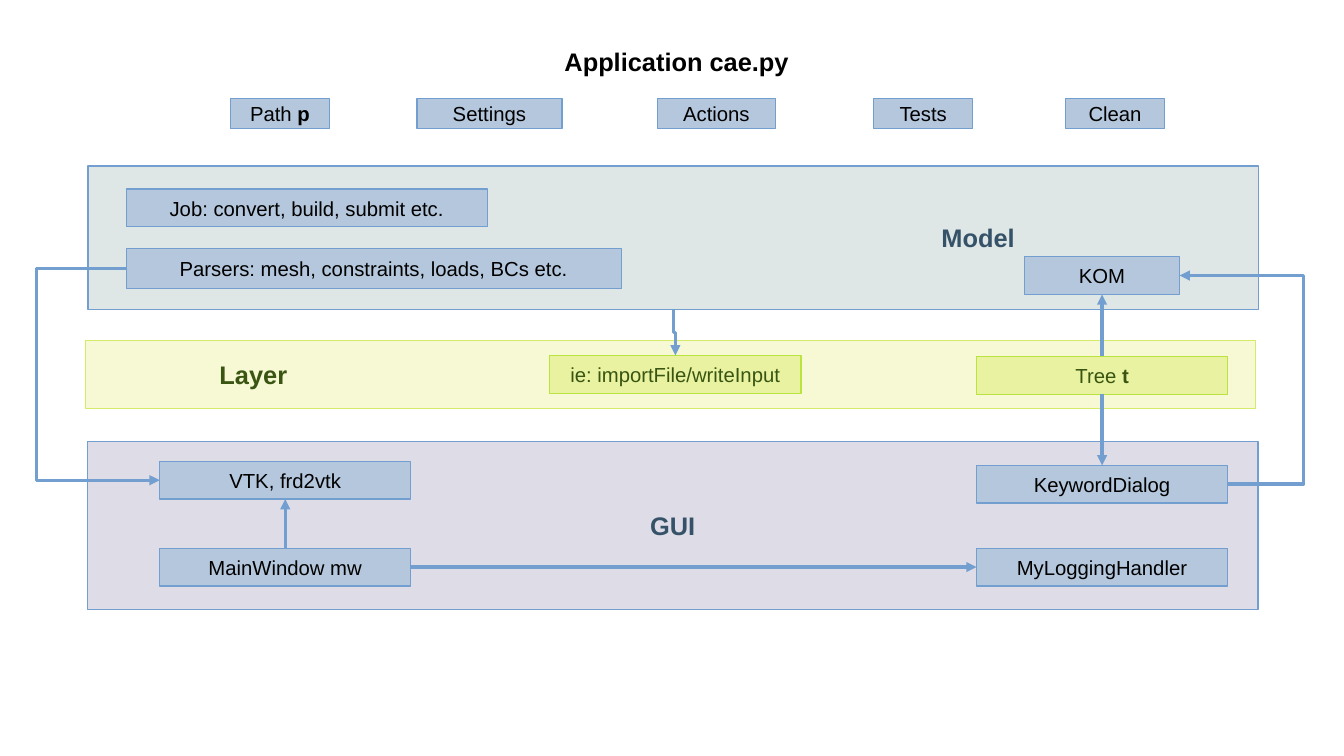
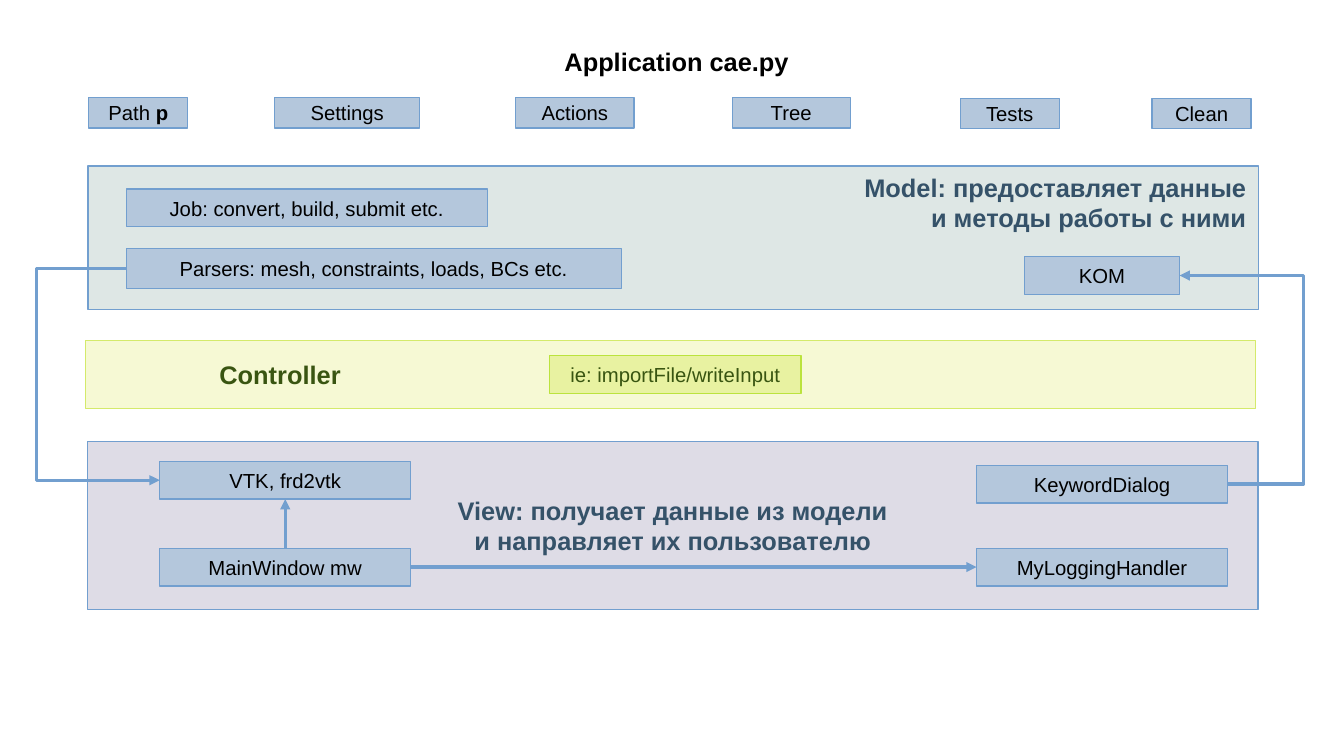
"""Build two architecture slides of the cae.py application."""
from lxml import etree
from pptx import Presentation
from pptx.dml.color import RGBColor
from pptx.enum.shapes import MSO_CONNECTOR, MSO_SHAPE
from pptx.enum.text import MSO_ANCHOR, PP_ALIGN
from pptx.oxml.ns import qn
from pptx.util import Pt

RECT = MSO_SHAPE.RECTANGLE
STRAIGHT, ELBOW = MSO_CONNECTOR.STRAIGHT, MSO_CONNECTOR.ELBOW
TOP, MIDDLE = MSO_ANCHOR.TOP, MSO_ANCHOR.MIDDLE
LEFT, CENTER, RIGHT = PP_ALIGN.LEFT, PP_ALIGN.CENTER, PP_ALIGN.RIGHT
SITE_TOP, SITE_LEFT, SITE_BOTTOM, SITE_RIGHT = range(4)

BLACK = RGBColor(0x00, 0x00, 0x00)
BLUE = RGBColor(0xB4, 0xC7, 0xDC)
BLUE_LINE = RGBColor(0x72, 0x9F, 0xCF)
NAVY = RGBColor(0x35, 0x52, 0x69)
MODEL_FILL = RGBColor(0xDE, 0xE7, 0xE5)
GUI_FILL = RGBColor(0xDE, 0xDC, 0xE6)
LAYER_FILL = RGBColor(0xF6, 0xF9, 0xD4)
LAYER_LINE = RGBColor(0xD4, 0xEA, 0x6B)
LIME = RGBColor(0xE8, 0xF2, 0xA1)
LIME_LINE = RGBColor(0xBB, 0xE3, 0x3D)
GREEN = RGBColor(0x39, 0x55, 0x11)

BLUE_STYLE = (BLUE, BLUE_LINE, BLACK)
LIME_STYLE = (LIME, LIME_LINE, GREEN)
FONT = "Arial"
BOX_W, BOX_H = 148.3, 22.3
LEFT_X, MID_X, RIGHT_X = 94.3, 324.7, 576.7


def add_box(s, x, y, w, h, text, style=BLUE_STYLE, size=12, bold=False,
            tail="", align=CENTER, anchor=MIDDLE, indent=0.0):
    fill, line, color = style
    if fill is None:
        sp = s.shapes.add_textbox(Pt(x), Pt(y), Pt(w), Pt(h))
    else:
        sp = s.shapes.add_shape(RECT, Pt(x), Pt(y), Pt(w), Pt(h))
        sp.shadow.inherit = False
        sp.fill.solid()
        sp.fill.fore_color.rgb = fill
        sp.line.color.rgb = line
        sp.line.width = Pt(0)
    tf = sp.text_frame
    tf.word_wrap = True
    tf.vertical_anchor = anchor
    tf.margin_left = Pt(7.2 + indent)
    for i, row in enumerate(text.split("\n")):
        p = tf.paragraphs[0] if i == 0 else tf.add_paragraph()
        p.alignment = align
        for part, heavy in ((row, bold), (tail, True)):
            if part:
                r = p.add_run()
                r.text = part
                r.font.name = FONT
                r.font.size = Pt(size)
                r.font.bold = heavy
                r.font.color.rgb = color
    return sp


def add_arrow(s, kind, start=(0, 0), end=(0, 0), joins=None, via_x=None):
    cx = s.shapes.add_connector(kind, Pt(start[0]), Pt(start[1]), Pt(end[0]), Pt(end[1]))
    if joins:
        first, first_site, last, last_site = joins
        cx.begin_connect(first, first_site)
        cx.end_connect(last, last_site)
    cx.line.color.rgb = BLUE_LINE
    cx.line.width = Pt(0)
    spPr = cx._element.spPr
    etree.SubElement(spPr.find(qn("a:ln")), qn("a:tailEnd"), type="triangle")
    etree.SubElement(spPr, qn("a:effectLst"))
    if via_x is not None:
        ratio = (Pt(via_x) - cx.begin_x) / (cx.end_x - cx.begin_x)
        guides = spPr.find(qn("a:prstGeom")).find(qn("a:avLst"))
        etree.SubElement(guides, qn("a:gd"), name="adj1", fmla=f"val {round(ratio * 100000)}")
    return cx


prs = Presentation()
prs.slide_width, prs.slide_height = Pt(793.7), Pt(446.4)

SLIDES = [
    {
        "modules": [("Path ", "p", 136.1, 58.1, 58.5), ("Settings", "", 246.2, 58.1, 85.7),
                    ("Actions", "", 388.2, 58.1, 69.8), ("Tests", "", 516.0, 58.1, 58.5),
                    ("Clean", "", 629.3, 58.1, 58.5)],
        "layer": "Layer",
        "gui": "GUI",
        "model": "Model",
        "model_place": {"indent": 360},
        "tree": True,
    },
    {
        "modules": [("Path ", "p", 52.4, 57.6, 58.5), ("Settings", "", 162.2, 57.6, 85.7),
                    ("Actions", "", 304.6, 57.6, 69.8), ("Tree", "", 432.4, 57.6, 69.8),
                    ("Tests", "", 567.1, 58.1, 58.5), ("Clean", "", 680.4, 58.1, 58.5)],
        "layer": "Controller",
        "gui": "View: получает данные из модели\nи направляет их пользователю",
        "model": "Model: предоставляет данные\nи методы работы с ними",
        "model_place": {"align": RIGHT, "anchor": TOP},
        "tree": False,
    },
]

for data in SLIDES:
    s = prs.slides.add_slide(prs.slide_layouts[6])

    add_box(s, 50.4, 201, 691.2, 40.3, data["layer"], (LAYER_FILL, LAYER_LINE, GREEN),
            15, True, align=LEFT, indent=72)
    add_box(s, 51.7, 260.6, 691.2, 99.3, data["gui"], (GUI_FILL, BLUE_LINE, NAVY), 15, True)
    add_box(s, 52, 98.1, 691.2, 84.7, data["model"], (MODEL_FILL, BLUE_LINE, NAVY),
            15, True, **data["model_place"])
    add_box(s, 237.6, 23.8, 324, 23.8, "Application cae.py", (None, None, BLACK),
            15, True, anchor=TOP)

    for name, tail, x, y, w in data["modules"]:
        add_box(s, x, y, w, 18, name, tail=tail)

    add_box(s, 74.6, 111.6, 213.2, BOX_H, "Job: convert, build, submit etc.")
    parsers = add_box(s, 74.6, 146.6, 292.3, 23.8, "Parsers: mesh, constraints, loads, BCs etc.")
    kom = add_box(s, 605.1, 151.6, 91.5, BOX_H, "KOM")
    add_box(s, MID_X, 209.9, BOX_W, BOX_H, "ie: importFile/writeInput", LIME_STYLE)
    vtk = add_box(s, LEFT_X, 272.4, BOX_W, BOX_H, "VTK, frd2vtk")
    window = add_box(s, LEFT_X, 323.7, BOX_W, BOX_H, "MainWindow mw")
    keyword = add_box(s, RIGHT_X, 274.8, BOX_W, BOX_H, "KeywordDialog")
    logging = add_box(s, RIGHT_X, 323.7, BOX_W, BOX_H, "MyLoggingHandler")

    add_arrow(s, ELBOW, joins=(parsers, SITE_LEFT, vtk, SITE_LEFT), via_x=21.6)
    add_arrow(s, ELBOW, joins=(keyword, SITE_RIGHT, kom, SITE_RIGHT), via_x=769.8)
    add_arrow(s, STRAIGHT, joins=(window, SITE_RIGHT, logging, SITE_LEFT))
    add_arrow(s, STRAIGHT, joins=(window, SITE_TOP, vtk, SITE_BOTTOM))

    if data["tree"]:
        tree = add_box(s, RIGHT_X, 210.5, BOX_W, BOX_H, "Tree ", LIME_STYLE, tail="t")
        add_arrow(s, STRAIGHT, joins=(tree, SITE_TOP, kom, SITE_BOTTOM))
        add_arrow(s, STRAIGHT, joins=(tree, SITE_BOTTOM, keyword, SITE_TOP))
        model_to_layer = add_arrow(s, ELBOW, (411.8, 195.8), (384.7, 196.9))
        model_to_layer.rotation = 270

prs.save("out.pptx")
